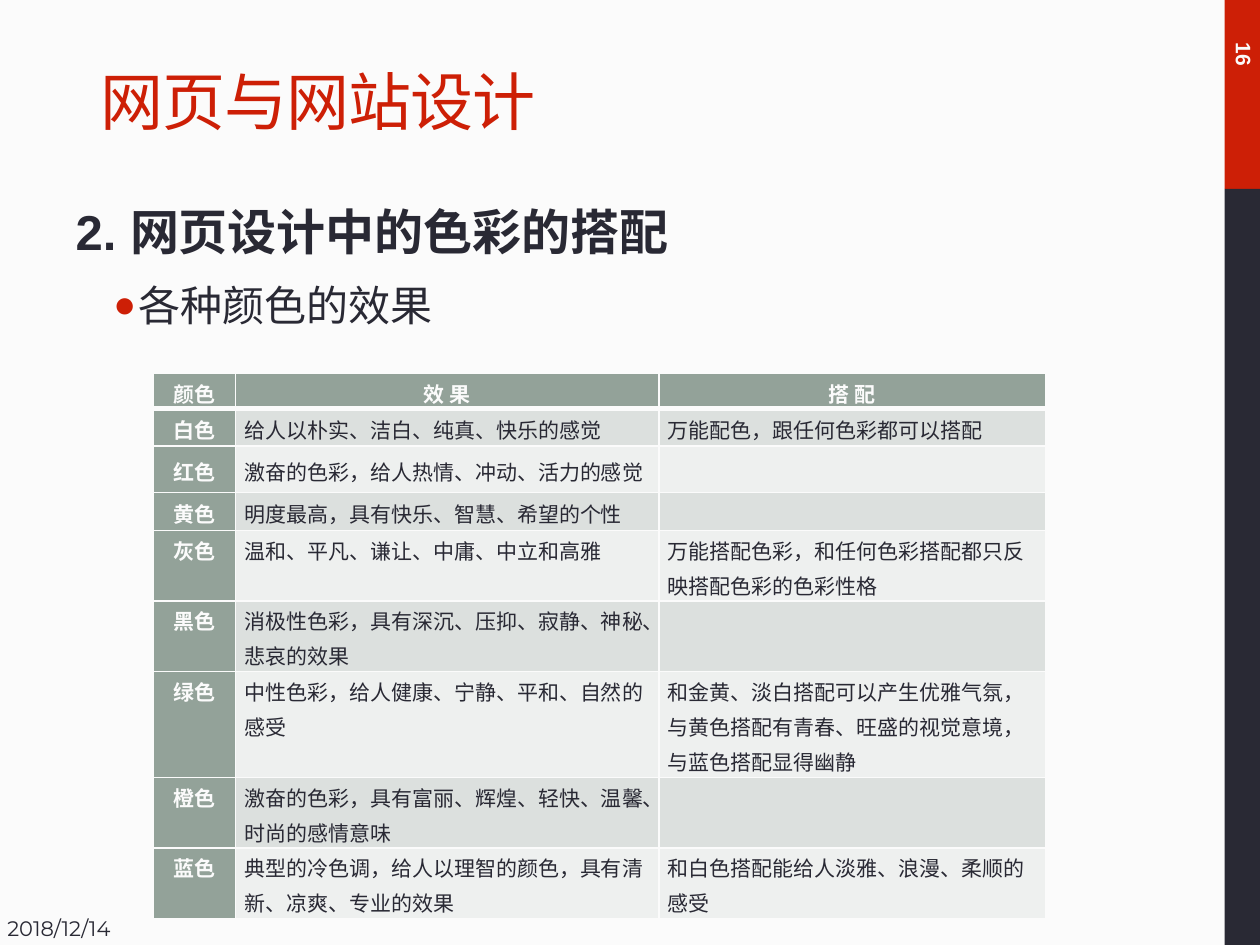
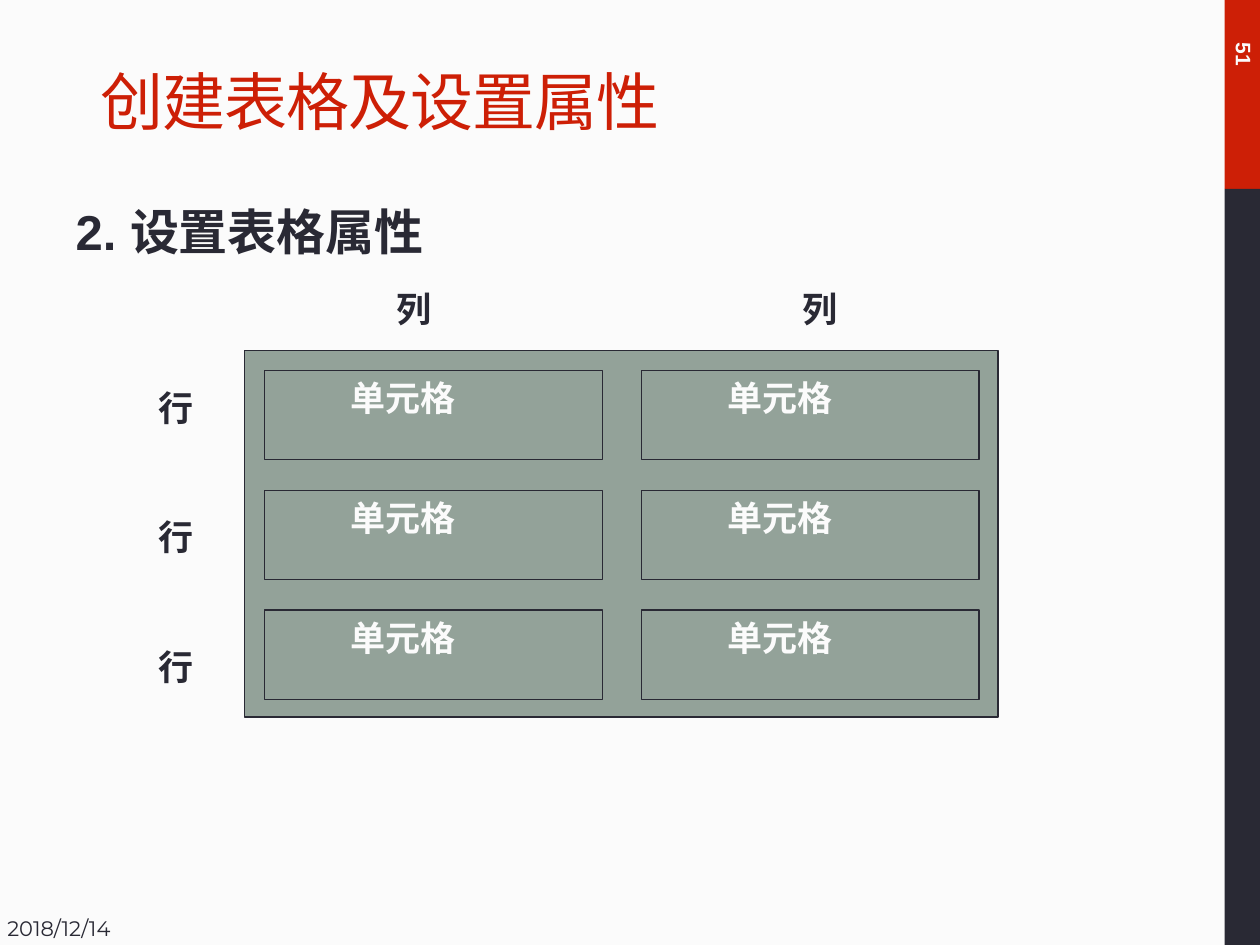
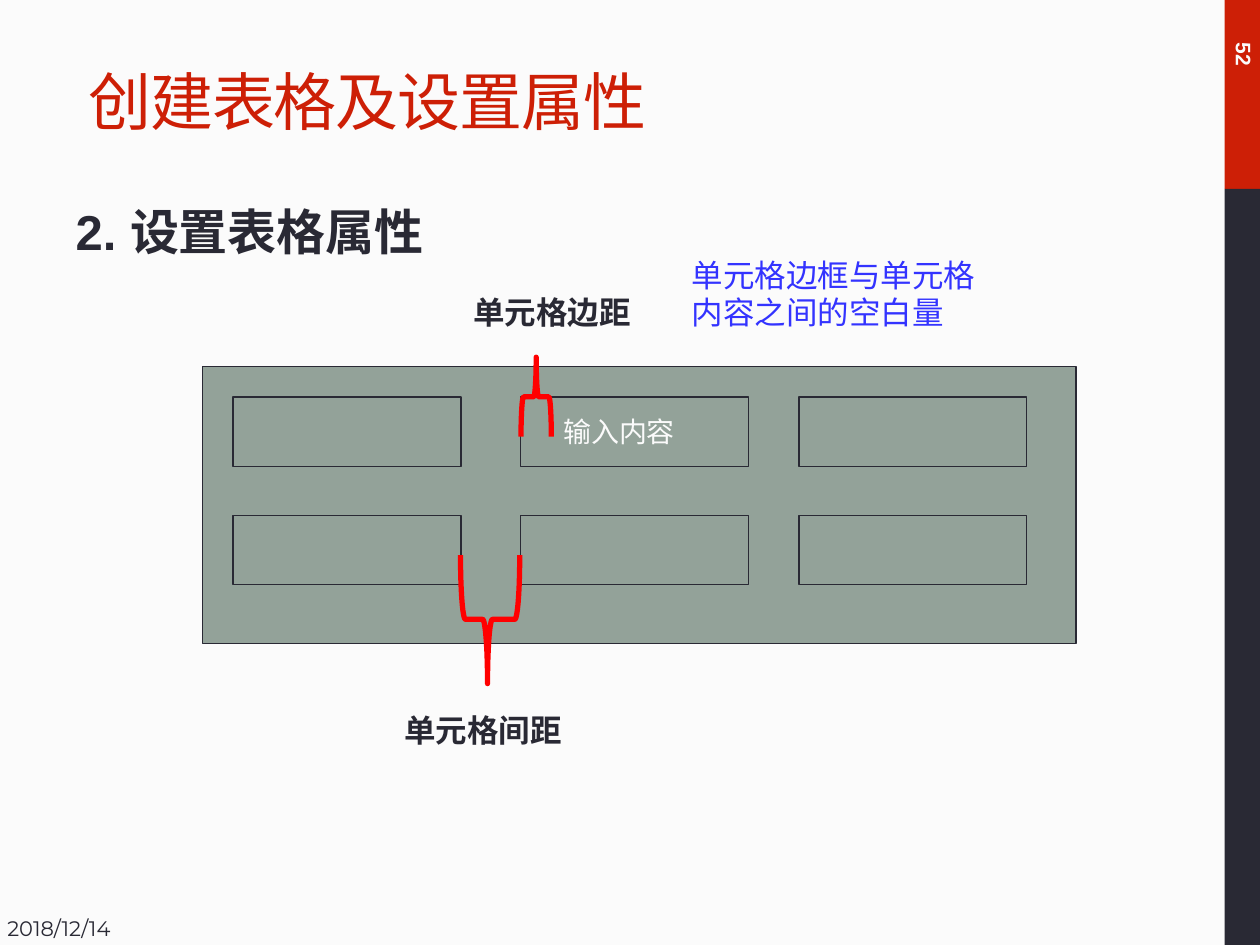
from lxml import etree
from pptx import Presentation
from pptx.dml.color import RGBColor
from pptx.enum import shapes, text
from pptx.oxml.ns import qn
from pptx.util import Inches, Pt

RED = RGBColor(0xCD, 0x1F, 0x06)
INK = RGBColor(0x29, 0x29, 0x34)
PAPER = RGBColor(0xFB, 0xFB, 0xFB)
SAGE = RGBColor(0x93, 0xA2, 0x99)
ROW_DARK = RGBColor(0xDC, 0xE0, 0xDE)
ROW_LIGHT = RGBColor(0xEE, 0xF0, 0xEF)
BRACE_RED = RGBColor(0xFF, 0x00, 0x00)
NOTE_BLUE = RGBColor(0x33, 0x33, 0xFF)
HEAD_FONT, BODY_FONT, LABEL_FONT = "Montserrat", "Arial", "DejaVu Sans"

# Content
DATE = "2018/12/14"
# title, title inset, page number, body width, body lines
COLOURS_PAGE = ("网页与网站设计", 0.3, "16", 8.52,
                ["2. 网页设计中的色彩的搭配", "各种颜色的效果"])
CELLS_PAGE = ("创建表格及设置属性", 0.3, "51", 8.33, ["2. 设置表格属性"])
SPACING_PAGE = ("创建表格及设置属性", 0.2, "52", 8.33, ["2. 设置表格属性"])

COLOUR_COLUMNS = [0.65, 3.36, 3.07]
# row height, colour, effect, pairing
COLOUR_ROWS = [
    (0.28, "颜色", "效 果", "搭 配"),
    (0.3, "白色", "给人以朴实、洁白、纯真、快乐的感觉", "万能配色，跟任何色彩都可以搭配"),
    (0.37, "红色", "激奋的色彩，给人热情、冲动、活力的感觉", ""),
    (0.3, "黄色", "明度最高，具有快乐、智慧、希望的个性", ""),
    (0.56, "灰色", "温和、平凡、谦让、中庸、中立和高雅",
     "万能搭配色彩，和任何色彩搭配都只反映搭配色彩的色彩性格"),
    (0.56, "黑色", "消极性色彩，具有深沉、压抑、寂静、神秘、悲哀的效果", ""),
    (0.84, "绿色", "中性色彩，给人健康、宁静、平和、自然的感受",
     "和金黄、淡白搭配可以产生优雅气氛，与黄色搭配有青春、旺盛的视觉意境，与蓝色搭配显得幽静"),
    (0.56, "橙色", "激奋的色彩，具有富丽、辉煌、轻快、温馨、时尚的感情意味", ""),
    (0.56, "蓝色", "典型的冷色调，给人以理智的颜色，具有清新、凉爽、专业的效果",
     "和白色搭配能给人淡雅、浪漫、柔顺的感受"),
]
MIDDLE_ROWS = 4


# Helpers
def box(left, top, width, height):
    return [Inches(v) for v in (left, top, width, height)]


def style(paragraph, size, colour, font=LABEL_FONT, bold=False):
    for run in paragraph.runs:
        run.font.size, run.font.name, run.font.bold = Pt(size), font, bold
        run.font.color.rgb = colour


def add_label(slide, words, area, size, colour=INK, font=LABEL_FONT, bold=False):
    label = slide.shapes.add_textbox(*box(*area))
    frame = label.text_frame
    frame.word_wrap = True
    frame.text = words
    style(frame.paragraphs[0], size, colour, font, bold)
    return label


def add_block(slide, area, fill=SAGE, line=INK):
    block = slide.shapes.add_shape(shapes.MSO_SHAPE.RECTANGLE, *box(*area))
    block.shadow.inherit = False
    block.fill.solid()
    block.fill.fore_color.rgb = fill
    if line is None:
        block.line.fill.background()
    else:
        block.line.color.rgb = line
        block.line.width = Pt(0.75)
    return block


def fill_block(block, words, size, left, anchor, bold=False):
    frame = block.text_frame
    frame.margin_left = Inches(left)
    frame.vertical_anchor = anchor
    frame.text = words
    frame.paragraphs[0].alignment = text.PP_ALIGN.LEFT
    style(frame.paragraphs[0], size, PAPER, bold=bold)


def add_brace(slide, area, rotation, point):
    brace = slide.shapes.add_shape(shapes.MSO_SHAPE.LEFT_BRACE, *box(*area))
    brace.shadow.inherit = False
    brace.rotation = rotation
    brace.adjustments[0], brace.adjustments[1] = 0.083, point
    brace.fill.background()
    brace.line.color.rgb = BRACE_RED
    brace.line.width = Pt(3)


def set_bullet(paragraph, left=0, indent=0, char=None):
    props = paragraph._p.get_or_add_pPr()
    props.set("marL", str(Inches(left)))
    props.set("indent", str(Inches(indent)))
    if char is None:
        etree.SubElement(props, qn("a:buNone"))
        return
    colour = etree.SubElement(props, qn("a:buClr"))
    etree.SubElement(colour, qn("a:srgbClr"), val=str(RED))
    etree.SubElement(props, qn("a:buSzPct"), val="90000")
    etree.SubElement(props, qn("a:buFont"), typeface=BODY_FONT)
    etree.SubElement(props, qn("a:buChar"), char=char)


def set_borders(cell, top=1, bottom=1):
    props = cell._tc.get_or_add_tcPr()
    for side, width in (("L", 1), ("R", 1), ("T", top), ("B", bottom)):
        line = etree.SubElement(props, qn(f"a:ln{side}"), w=str(Pt(width)))
        fill = etree.SubElement(line, qn("a:solidFill"))
        etree.SubElement(fill, qn("a:srgbClr"), val=str(PAPER))


# Shared page parts
def move_bands_to_master(prs, slide):
    tree = prs.slide_master.element.cSld.spTree
    for top, height, colour in ((0, 1.5, RED), (1.5, 6, INK)):
        band = add_block(slide, (9.72, top, 0.28, height), colour, None)
        tree.append(band.element)


def add_page(prs, page):
    heading, inset, number, body_width, lines = page
    slide = prs.slides.add_slide(prs.slide_layouts[1])

    title = slide.shapes.title
    title.left, title.top, title.width, title.height = box(0.5, 0.17, 8.04, 0.98)
    title.text_frame.text = heading
    title.text_frame.margin_left = Inches(inset)
    title.text_frame.vertical_anchor = text.MSO_ANCHOR.BOTTOM
    paragraph = title.text_frame.paragraphs[0]
    paragraph.alignment = text.PP_ALIGN.LEFT
    style(paragraph, 36, RED, HEAD_FONT)
    paragraph.runs[0].font._element.set("spc", "-60")

    body = slide.placeholders[1]
    body.left, body.top, body.width, body.height = box(0.5, 1.55, body_width, 5.28)
    body.text_frame.text = "\n".join(lines)
    for i, paragraph in enumerate(body.text_frame.paragraphs):
        if i == 0:
            set_bullet(paragraph)
            paragraph.space_before, paragraph.space_after = Pt(0), Pt(6)
            style(paragraph, 28, INK, BODY_FONT, True)
        else:
            paragraph.level = 1
            set_bullet(paragraph, 0.5, -0.2, "●")
            paragraph.space_before = Pt(4.8)
            style(paragraph, 24, INK, BODY_FONT)

    date = add_label(slide, DATE, (-0.04, 7.14, 1.26, 0.33), 12, font=HEAD_FONT)
    date.text_frame.margin_bottom = 0
    date.text_frame.vertical_anchor = text.MSO_ANCHOR.BOTTOM
    page_number = add_label(slide, number, (9.55, 0.23, 0.65, 0.4), 12,
                            PAPER, BODY_FONT, True)
    page_number.rotation = 90
    page_number.text_frame.vertical_anchor = text.MSO_ANCHOR.MIDDLE
    page_number.text_frame.paragraphs[0].alignment = text.PP_ALIGN.CENTER
    return slide


# Colour effects table
def add_colour_table(slide):
    height = sum(row[0] for row in COLOUR_ROWS)
    area = box(1.22, 2.96, sum(COLOUR_COLUMNS), height)
    table = slide.shapes.add_table(len(COLOUR_ROWS), len(COLOUR_COLUMNS), *area).table
    for column, width in zip(table.columns, COLOUR_COLUMNS):
        column.width = Inches(width)
    for r, (row_height, *words) in enumerate(COLOUR_ROWS):
        table.rows[r].height = Inches(row_height)
        for c, entry in enumerate(words):
            cell = table.cell(r, c)
            is_head = r == 0 or c == 0
            set_borders(cell, 3 if r == 1 else 1, 3 if r == 0 else 1)
            cell.fill.solid()
            cell.fill.fore_color.rgb = SAGE if is_head else ROW_DARK if r % 2 else ROW_LIGHT
            cell.margin_left = cell.margin_right = Inches(0.07)
            cell.margin_top = cell.margin_bottom = 0
            cell.vertical_anchor = (text.MSO_ANCHOR.MIDDLE if r < MIDDLE_ROWS
                                    else text.MSO_ANCHOR.TOP)
            paragraph = cell.text_frame.paragraphs[0]
            paragraph.line_spacing = Pt(20)
            paragraph.font.size = Pt(12)
            if entry:
                paragraph.text = entry
                paragraph.alignment = text.PP_ALIGN.CENTER if is_head else text.PP_ALIGN.LEFT
                style(paragraph, 12, PAPER if is_head else INK, BODY_FONT, is_head)


# Rows, columns and cells diagram
def add_cells_diagram(slide):
    for left in (3.05, 6.27):
        add_label(slide, "列", (left, 2.23, 0.43, 0.43), 20, bold=True)
    add_block(slide, (1.94, 2.78, 5.98, 2.91))
    for r in range(3):
        add_label(slide, "行", (1.16, 3.02 + 1.025 * r, 0.43, 0.43), 20, bold=True)
        for left in (2.1, 5.09):
            cell = add_block(slide, (left, 2.94 + 0.95 * r, 2.68, 0.71))
            fill_block(cell, "单元格", 20, 0.68, text.MSO_ANCHOR.TOP, True)


# Cell padding and spacing diagram
def add_spacing_diagram(slide):
    add_block(slide, (1.61, 2.91, 6.93, 2.2))
    for r, top in enumerate((3.15, 4.09)):
        for c, left in enumerate((1.85, 4.13, 6.34)):
            cell = add_block(slide, (left, top, 1.81, 0.55))
            if (r, c) == (0, 1):
                fill_block(cell, "输入内容", 16, 0.34, text.MSO_ANCHOR.MIDDLE)
    add_brace(slide, (3.94, 3.03, 0.63, 0.24), 90, 0.5)
    add_brace(slide, (3.38, 4.68, 1.02, 0.47), 270, 0.457)
    add_label(slide, "单元格边距", (3.66, 2.28, 1.73, 0.4), 18, bold=True)
    add_label(slide, "单元格间距", (3.11, 5.59, 1.5, 0.4), 18, bold=True)
    add_label(slide, "单元格边框与单元格内容之间的空白量", (5.39, 1.98, 2.6, 0.71),
              18, NOTE_BLUE, BODY_FONT)


def main():
    prs = Presentation()
    prs.slide_width, prs.slide_height = Inches(10), Inches(7.5)
    background = prs.slide_master.background.fill
    background.solid()
    background.fore_color.rgb = PAPER

    colours = add_page(prs, COLOURS_PAGE)
    move_bands_to_master(prs, colours)
    add_colour_table(colours)
    add_cells_diagram(add_page(prs, CELLS_PAGE))
    add_spacing_diagram(add_page(prs, SPACING_PAGE))
    prs.save("out.pptx")


if __name__ == "__main__":
    main()
